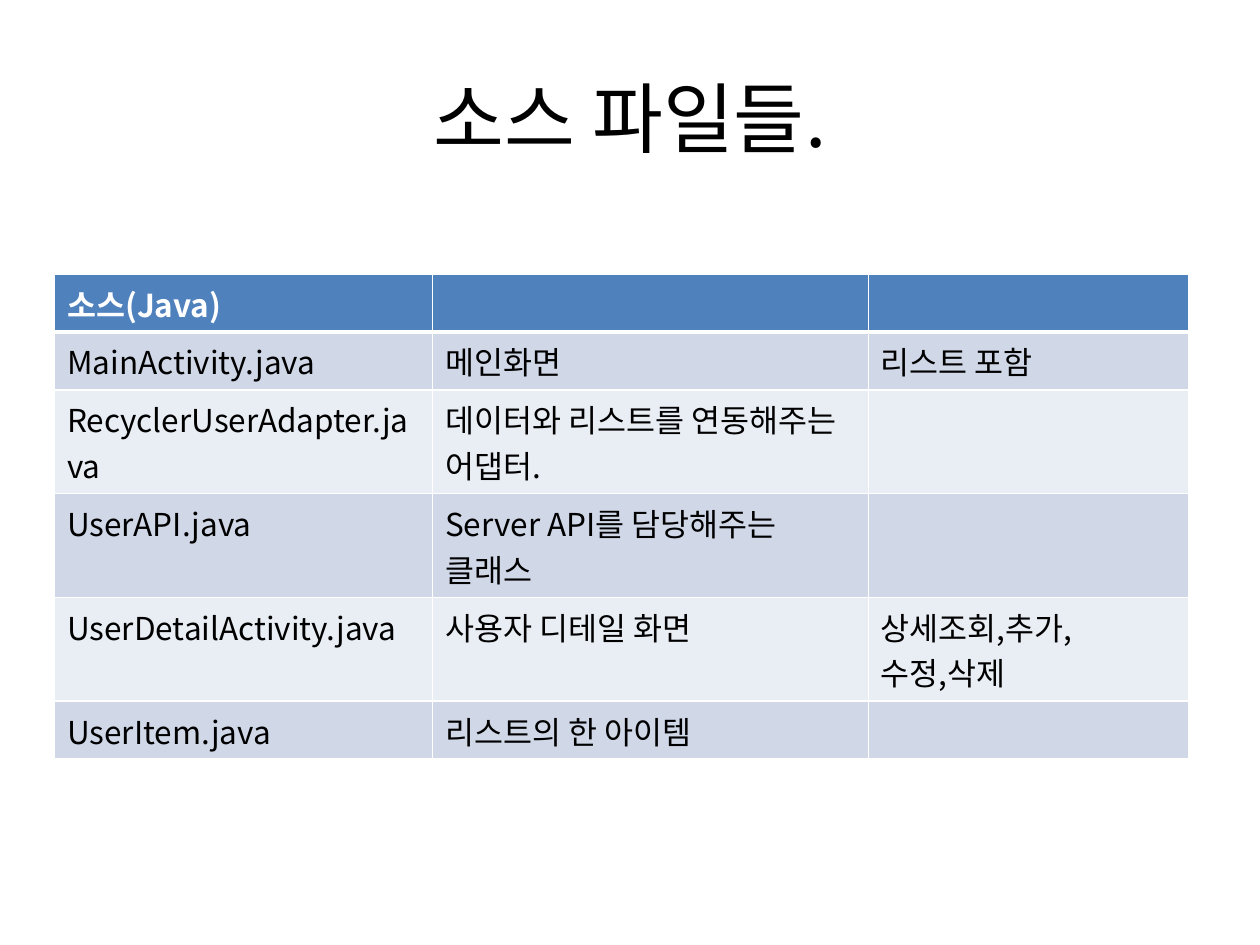
"""Build a slide with a titled table of Java source files."""
from lxml import etree
from pptx import Presentation
from pptx.dml.color import RGBColor
from pptx.enum.text import MSO_ANCHOR, PP_ALIGN
from pptx.oxml.ns import qn
from pptx.util import Pt

CENTER = PP_ALIGN.CENTER
MIDDLE = MSO_ANCHOR.MIDDLE
FONT = "Noto Sans CJK KR"
COLORS = {
    "black": "000000",
    "white": "FFFFFF",
    "header": "4F81BD",
    "odd": "D0D8E8",
    "even": "E9EDF4",
}
COLUMN_WIDTHS = [216, 249, 183]
ONE_LINE, TWO_LINES = 33.1, 59.3
ROWS = [
    (ONE_LINE, ["소스(Java)", "", ""]),
    (ONE_LINE, ["MainActivity.java", "메인화면", "리스트 포함"]),
    (TWO_LINES, ["RecyclerUserAdapter.java", "데이터와 리스트를 연동해주는 어댑터.", ""]),
    (TWO_LINES, ["UserAPI.java", "Server API를 담당해주는 클래스", ""]),
    (TWO_LINES, ["UserDetailActivity.java", "사용자 디테일 화면", "상세조회,추가,\n수정,삭제"]),
    (ONE_LINE, ["UserItem.java", "리스트의 한 아이템", ""]),
]


def style_text(frame, size, color, bold=False):
    for paragraph in frame.paragraphs:
        for span in paragraph.runs:
            span.font.size = Pt(size)
            span.font.bold = bold
            span.font.name = FONT
            span.font.color.rgb = RGBColor.from_string(COLORS[color])
            east_asian = etree.SubElement(span.font._element, qn("a:ea"))
            east_asian.set("typeface", FONT)


def add_border(cell, side, width):
    properties = cell._tc.get_or_add_tcPr()
    line = etree.SubElement(properties, qn(f"a:ln{side}"), w=str(Pt(width)))
    fill = etree.SubElement(line, qn("a:solidFill"))
    etree.SubElement(fill, qn("a:srgbClr"), val=COLORS["white"])


deck = Presentation()
deck.slide_width, deck.slide_height = Pt(720), Pt(540)
page = deck.slides.add_slide(deck.slide_layouts[6])

title_box = page.shapes.add_textbox(Pt(36), Pt(21.6), Pt(648), Pt(90))
title = title_box.text_frame
title.word_wrap = True
title.vertical_anchor = MIDDLE
title.text = "소스 파일들."
title.paragraphs[0].alignment = CENTER
style_text(title, 44, "black")

table = page.shapes.add_table(
    len(ROWS), len(COLUMN_WIDTHS), Pt(31.2), Pt(156.7),
    Pt(sum(COLUMN_WIDTHS)), Pt(sum(height for height, texts in ROWS)),
).table
for column, width in zip(table.columns, COLUMN_WIDTHS):
    column.width = Pt(width)

for row_index, (height, texts) in enumerate(ROWS):
    is_header = row_index == 0
    band = "header" if is_header else ("even", "odd")[row_index % 2]
    table.rows[row_index].height = Pt(height)
    for column_index, text in enumerate(texts):
        cell = table.cell(row_index, column_index)
        top = 3 if row_index == 1 else 1
        bottom = 3 if is_header else 1
        for side, width in zip("LRTB", (1, 1, top, bottom)):
            add_border(cell, side, width)
        cell.fill.solid()
        cell.fill.fore_color.rgb = RGBColor.from_string(COLORS[band])
        if text:
            cell.text_frame.text = text
            style_text(cell.text_frame, 18, "white" if is_header else "black", is_header)

deck.save("out.pptx")
